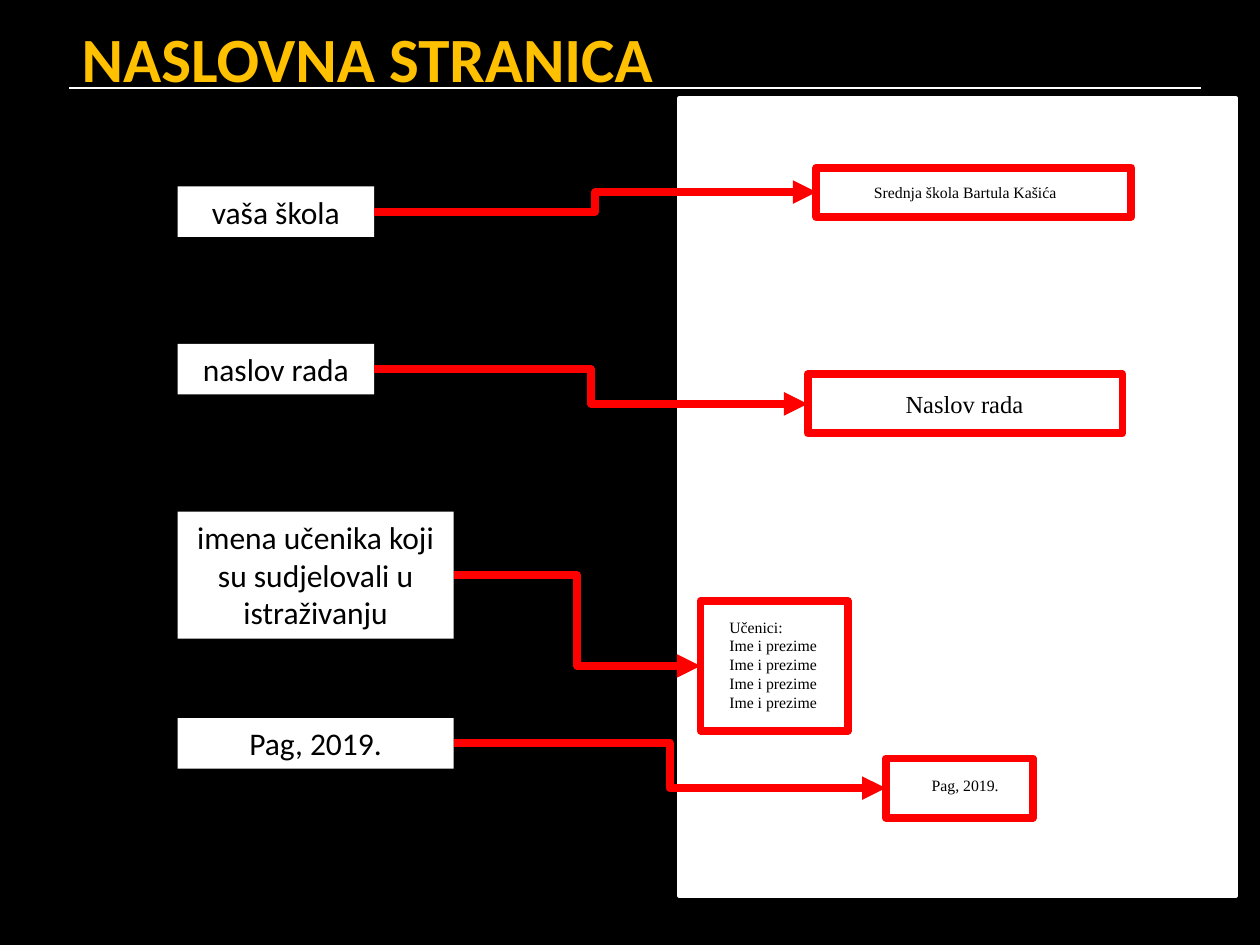
"""Builds the annotated title-page slide of a school research paper."""
from dataclasses import dataclass

from lxml.etree import SubElement
from pptx import Presentation
from pptx.dml.color import RGBColor
from pptx.enum.shapes import MSO_CONNECTOR as Connector, MSO_SHAPE as Preset
from pptx.enum.text import MSO_ANCHOR as Anchor, MSO_AUTO_SIZE as AutoSize, PP_ALIGN as Align
from pptx.oxml.ns import qn
from pptx.shapes.autoshape import Shape
from pptx.shapes.connector import Connector as Link
from pptx.slide import Slide
from pptx.util import Inches, Pt

COLORS = {"night": "000000", "paper": "FFFFFF", "gold": "FFC000", "mark": "FF0000"}
COLUMNS, ROWS = 100, 75
WIDTH, HEIGHT = Inches(10), Inches(7.5)
LABEL_LEFT = 14.1
LEFT_SITE, RIGHT_SITE = 1, 3


@dataclass(frozen=True)
class Area:
    left: float
    top: float
    width: float
    height: float

    def lengths(self) -> tuple[int, int, int, int]:
        return (across(self.left), down(self.top), across(self.width), down(self.height))


@dataclass(frozen=True)
class Style:
    size: float
    font: str = "Calibri"
    color: str = "night"
    bold: bool = False
    align: Align = Align.CENTER
    wrap: bool = True
    fill: str | None = "paper"


@dataclass(frozen=True)
class Callout:
    label: str
    label_area: Area
    frame: Area
    sample: tuple[str, ...]
    sample_area: Area
    sample_style: Style


def across(columns: float) -> int:
    return round(WIDTH * columns / COLUMNS)


def down(rows: float) -> int:
    return round(HEIGHT * rows / ROWS)


def rgb(name: str) -> RGBColor:
    return RGBColor.from_string(COLORS[name])


def add_text(slide: Slide, area: Area, lines: tuple[str, ...], style: Style) -> Shape:
    box = slide.shapes.add_textbox(*area.lengths())
    if style.fill:
        box.fill.solid()
        box.fill.fore_color.rgb = rgb(style.fill)
    frame = box.text_frame
    frame.word_wrap = style.wrap
    frame.auto_size = AutoSize.SHAPE_TO_FIT_TEXT if style.fill else AutoSize.NONE
    frame.vertical_anchor = Anchor.TOP if style.fill else Anchor.MIDDLE
    for index, line in enumerate(lines):
        paragraph = frame.add_paragraph() if index else frame.paragraphs[0]
        paragraph.alignment = style.align
        run = paragraph.add_run()
        run.text = line
        run.font.name, run.font.size, run.font.bold = style.font, Pt(style.size), style.bold
        run.font.color.rgb = rgb(style.color)
    return box


def add_rectangle(slide: Slide, area: Area, line: str, weight: float, fill: str | None = None) -> Shape:
    rectangle = slide.shapes.add_shape(Preset.RECTANGLE, *area.lengths())
    rectangle.shadow.inherit = False
    if fill:
        rectangle.fill.solid()
        rectangle.fill.fore_color.rgb = rgb(fill)
    else:
        rectangle.fill.background()
    rectangle.line.color.rgb = rgb(line)
    rectangle.line.width = Pt(weight)
    return rectangle


def add_link(slide: Slide, kind: Connector, ends: tuple[int, int, int, int], color: str, weight: float) -> Link:
    link = slide.shapes.add_connector(kind, *ends)
    link.line.color.rgb = rgb(color)
    link.line.width = Pt(weight)
    SubElement(link._element.spPr, qn("a:effectLst"))
    return link


def add_arrow(slide: Slide, label: Shape, target: Shape) -> None:
    ends = (label.left + label.width, label.top + label.height // 2,
            target.left, target.top + target.height // 2)
    arrow = add_link(slide, Connector.ELBOW, ends, "mark", 4.5)
    arrow.begin_connect(label, RIGHT_SITE)
    arrow.end_connect(target, LEFT_SITE)
    SubElement(arrow.line._get_or_add_ln(), qn("a:tailEnd"), type="triangle")


def add_callout(slide: Slide, callout: Callout) -> None:
    target = add_rectangle(slide, callout.frame, "mark", 4.5)
    label = add_text(slide, callout.label_area, (callout.label,), LABEL)
    add_arrow(slide, label, target)
    add_text(slide, callout.sample_area, callout.sample, callout.sample_style)


HEADING = Style(36, color="gold", bold=True, align=Align.LEFT, fill=None)
LABEL = Style(18)
SMALL = Style(9, "Times New Roman", wrap=False)
LARGE = Style(14, "Times New Roman", wrap=False)
NAMES = Style(9, "Times New Roman", align=Align.LEFT, wrap=False)

CALLOUTS = (
    Callout("vaša škola", Area(LABEL_LEFT, 14.8, 15.6, 4), Area(64.8, 13.3, 25, 3.9),
            ("Srednja škola Bartula Kašića",), Area(68.3, 14, 16.6, 2.5), SMALL),
    Callout("naslov rada", Area(LABEL_LEFT, 27.3, 15.6, 4), Area(64.1, 29.7, 25, 4.7),
            ("Naslov rada",), Area(70.8, 30.4, 11.5, 3.4), LARGE),
    Callout("imena učenika koji su sudjelovali u istraživanju",
            Area(LABEL_LEFT, 40.6, 21.9, 10.1), Area(55.6, 47.7, 11.7, 10.3),
            ("Učenici:",) + ("Ime i prezime",) * 4, Area(56.9, 48.5, 9, 8.6), NAMES),
    Callout("Pag, 2019.", Area(LABEL_LEFT, 57, 21.9, 4), Area(70.3, 60.2, 11.7, 4.7),
            ("Pag, 2019.",), Area(72.9, 61.1, 7.4, 2.5), SMALL),
)


def main() -> None:
    deck = Presentation()
    deck.slide_width, deck.slide_height = WIDTH, HEIGHT
    slide = deck.slides.add_slide(deck.slide_layouts[6])
    slide.background.fill.solid()
    slide.background.fill.fore_color.rgb = rgb("night")

    rule = (across(5.5), down(7), across(95.3), down(7))
    add_link(slide, Connector.STRAIGHT, rule, "paper", 1)
    add_rectangle(slide, Area(53.9, 7.8, 44.2, 63.3), "paper", 2, "paper")
    add_text(slide, Area(5.5, 0.7, 89.2, 7.7), ("NASLOVNA STRANICA",), HEADING)
    for callout in CALLOUTS:
        add_callout(slide, callout)
    deck.save("out.pptx")


if __name__ == "__main__":
    main()
